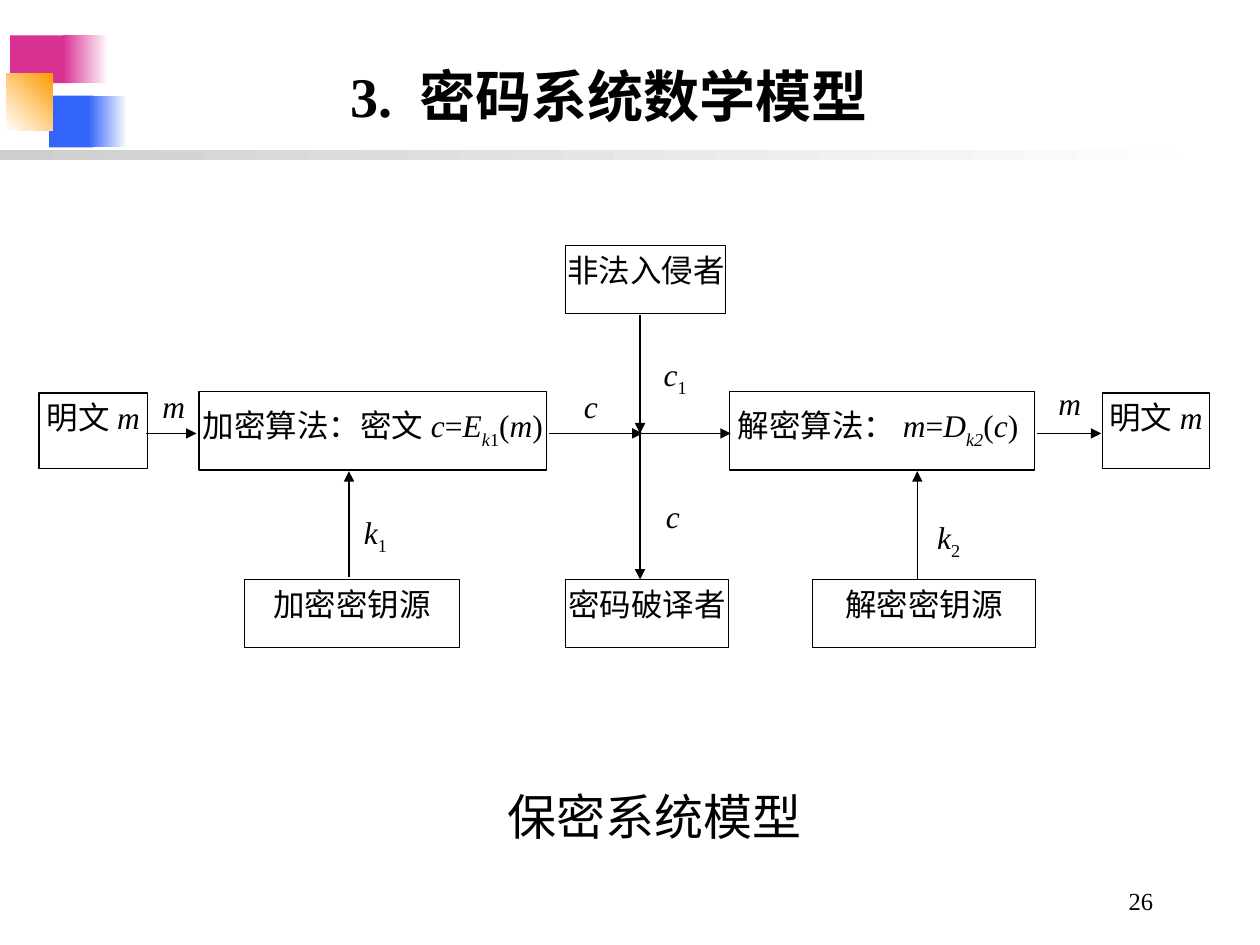
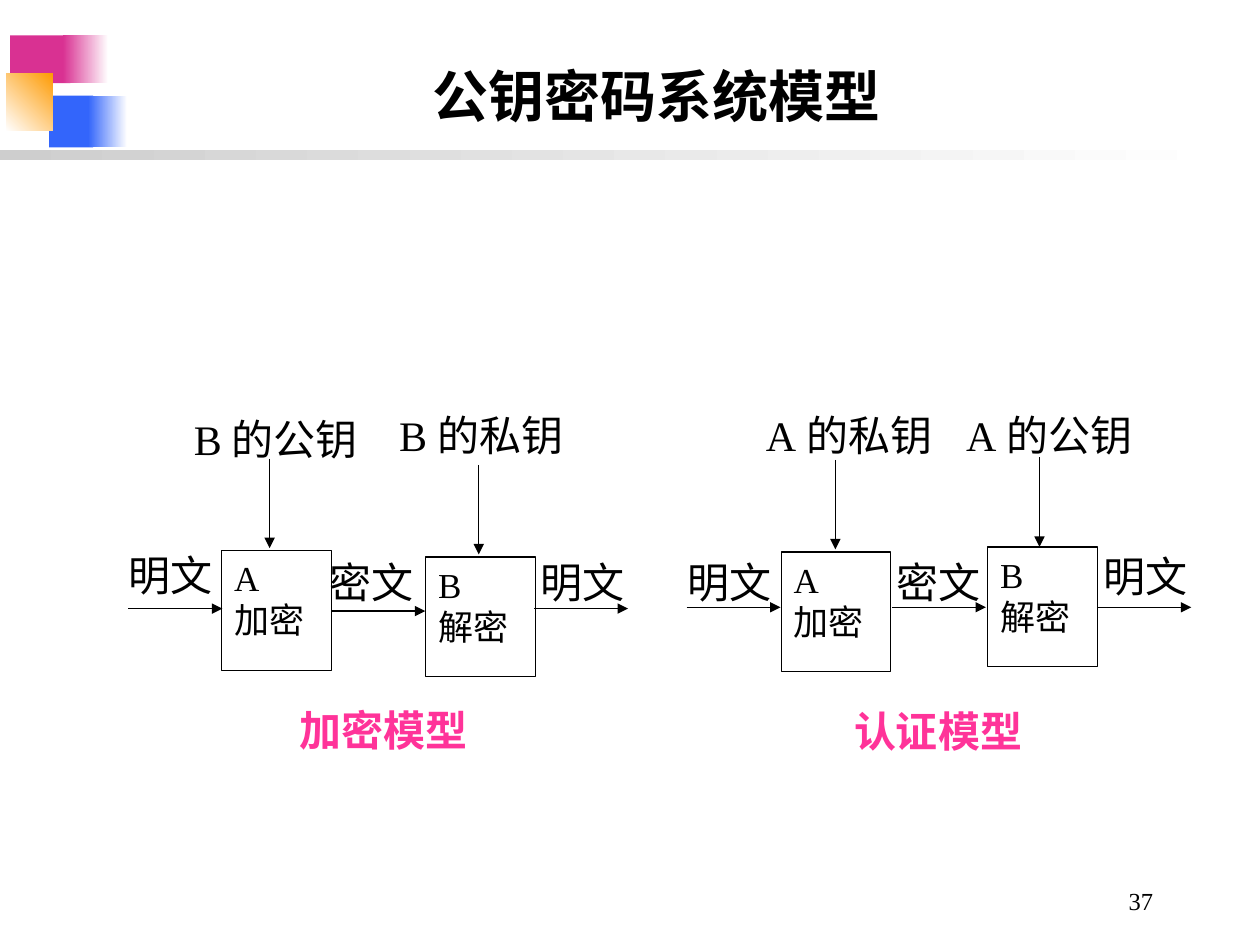
from dataclasses import dataclass, replace
from typing import NamedTuple, Optional, Union

from lxml.etree import SubElement
from pptx import Presentation
from pptx.dml.color import RGBColor
from pptx.enum.shapes import MSO_CONNECTOR, MSO_SHAPE
from pptx.enum.text import MSO_ANCHOR, MSO_AUTO_SIZE, PP_ALIGN
from pptx.oxml.ns import qn
from pptx.util import Inches, Pt

WIDE, HIGH = Inches(10), Inches(7.5)
COLS, ROWS = 100, 75

BLACK = RGBColor(0x00, 0x00, 0x00)
WHITE = RGBColor(0xFF, 0xFF, 0xFF)
PINK = RGBColor(0xD9, 0x31, 0x92)
BLUE = RGBColor(0x33, 0x65, 0xFB)
GOLD = RGBColor(0xFE, 0x9B, 0x03)
GREY = RGBColor(0xCE, 0xCE, 0xCE)
ROSE = RGBColor(0xFF, 0x33, 0x99)

SERIF = "Times New Roman"
HAN = "Noto Sans CJK SC"


class Area(NamedTuple):
    left: float
    top: float
    width: float
    height: float


class Run(NamedTuple):
    text: str
    slant: bool = False
    drop: int = 0


Words = Union[str, list[Run]]


@dataclass(frozen=True)
class Look:
    size: float
    align: PP_ALIGN = PP_ALIGN.CENTER
    space: float = 1.0
    before: float = 0
    side: float = 1.0
    head: float = 0.5
    bold: bool = False
    wrap: bool = True
    color: RGBColor = BLACK
    font: str = SERIF
    anchor: MSO_ANCHOR = MSO_ANCHOR.TOP


@dataclass(frozen=True)
class Block:
    area: Area
    words: Words
    look: Look
    fill: Optional[RGBColor] = None


@dataclass(frozen=True)
class Label:
    area: Area
    words: Words
    look: Look


class Arrow(NamedTuple):
    x: float
    y: float
    to_x: float
    to_y: float


class Patch(NamedTuple):
    area: Area
    start: RGBColor
    end: Optional[RGBColor] = None
    angle: float = 0


TITLE = Look(32, space=0.9, bold=True, anchor=MSO_ANCHOR.BOTTOM)
FOOT = Look(14, align=PP_ALIGN.RIGHT)
NODE = Look(18, side=0, head=0.4)
RULE = replace(NODE, space=1.2)
MARK = Look(18, space=1.04, side=0, head=0)
INDEX = replace(MARK, space=0.94)
NOTE = Look(28, space=1.8, before=17.5, font=HAN)
CELL = Look(20, align=PP_ALIGN.JUSTIFY)
TERM = Look(24, align=PP_ALIGN.LEFT, wrap=False)
MODEL = replace(TERM, bold=True, color=ROSE)

PATCHES = [
    Patch(Area(0.8, 2.8, 4.8, 3.8), PINK),
    Patch(Area(5, 2.8, 3.6, 3.8), PINK, WHITE),
    Patch(Area(3.9, 7.6, 3.5, 4.1), BLUE),
    Patch(Area(7, 7.6, 3.1, 4.1), BLUE, WHITE),
    Patch(Area(0.5, 5.8, 3.7, 4.6), WHITE, GOLD, 45),
    Patch(Area(0, 11.9, 97.5, 0.8), GREY, WHITE),
]

PLAIN = [Run("明文"), Run("m", True)]
CIPHER = [Run("加密算法:".replace(":", "：") + "密文"), Run("c", True), Run("="),
          Run("E", True), Run("k", True, -30), Run("1", drop=-30),
          Run("("), Run("m", True), Run(")")]
SOLVE = [Run("解密算法："), Run("m", True), Run("="), Run("D", True),
         Run("k2", True, -30), Run("("), Run("c", True), Run(") ")]

FLOW, KEYS = 34.4, 46
SECRET_BLOCKS = [
    Block(Area(3.1, 31.2, 8.6, 6), PLAIN, NODE),
    Block(Area(15.8, 31.1, 27.6, 6.2), CIPHER, RULE),
    Block(Area(44.9, 19.5, 12.7, 5.4), "非法入侵者", NODE),
    Block(Area(44.9, KEYS, 12.9, 5.4), "密码破译者", NODE),
    Block(Area(19.4, KEYS, 17.1, 5.4), "加密密钥源", NODE),
    Block(Area(64.5, KEYS, 17.7, 5.4), "解密密钥源", NODE),
    Block(Area(57.9, 31.1, 24.2, 6.2), SOLVE, RULE),
    Block(Area(87.5, 31.2, 8.5, 6), PLAIN, NODE),
]
SECRET_ARROWS = [
    Arrow(11.6, FLOW, 15.6, FLOW),
    Arrow(43.6, FLOW, 51, FLOW),
    Arrow(50.6, FLOW, 58, FLOW),
    Arrow(82.3, FLOW, 87.4, FLOW),
    Arrow(27.7, 45.8, 27.7, 37.4),
    Arrow(72.8, KEYS, 72.8, 37.4),
    Arrow(50.8, 25, 50.8, FLOW),
    Arrow(50.8, 34.2, 50.8, KEYS),
]


def mark(left: float, top: float, sign: str, index: str = "") -> Label:
    words = [Run(sign, True)] + ([Run(index, drop=-25)] if index else [])
    return Label(Area(left, top, 3.6, 3.4), words, INDEX if index else MARK)


SECRET_LABELS = [
    mark(12, 30.6, "m"), mark(83.1, 30.4, "m"),
    mark(28, 40.7, "k", "1"), mark(73.5, 41.1, "k", "2"),
    mark(45.1, 30.6, "c"), mark(51.6, 39.3, "c"), mark(51.8, 28.2, "c", "1"),
    Label(Area(23, 57.5, 57.4, 10.9),
          [Run(" ", drop=-30), Run("保密系统模型")], NOTE),
]

PUBLIC_BLOCKS = [
    Block(Area(left, top, 8.7, 9.5), words, CELL, WHITE)
    for left, top, words in [
        (17.6, 43.7, "A\n加密"), (33.8, 44.2, "B\n解密"),
        (62, 43.8, "A\n加密"), (78.4, 43.4, "B\n解密")]
]
PUBLIC_ARROWS = [
    Arrow(left, top, left + 7.45, top)
    for left, top in [(10.2, 48.3), (26.3, 48.5), (42.4, 48.3),
                      (54.5, 48.2), (70.8, 48.2), (87.1, 48.2)]
] + [
    Arrow(left, top, left, top + 7.1)
    for left, top in [(21.4, 36.4), (38, 36.9), (66.3, 36.5), (82.5, 36.3)]
]
PUBLIC_LABELS = [
    Label(Area(left, top, width, 5), words, look)
    for left, top, width, words, look in [
        (9.2, 43.1, 8.6, "明文", TERM), (41.9, 43.7, 8.6, "明文", TERM),
        (53.6, 43.7, 8.6, "明文", TERM), (86.6, 43.2, 8.6, "明文", TERM),
        (25.2, 43.7, 8.6, "密文", TERM), (70.2, 43.7, 8.6, "密文", TERM),
        (22.8, 55.4, 15.3, "加密模型", MODEL),
        (66.8, 55.5, 15.3, "认证模型", MODEL),
        (14.4, 32.3, 15, "B的公钥", TERM), (30.7, 32, 15, "B的私钥", TERM),
        (59.8, 32, 15.2, "A的私钥", TERM), (75.7, 32, 15.2, "A的公钥", TERM)]
]


def col(count: float) -> int:
    return round(WIDE * count / COLS)


def row(count: float) -> int:
    return round(HIGH * count / ROWS)


def place(area: Area) -> tuple[int, int, int, int]:
    return col(area.left), row(area.top), col(area.width), row(area.height)


def style(run, look: Look, part: Run) -> None:
    font = run.font
    font.name, font.size, font.bold = look.font, Pt(look.size), look.bold
    font.italic = part.slant
    font.color.rgb = look.color
    props = run._r.get_or_add_rPr()
    SubElement(props, qn("a:ea")).set("typeface", HAN)
    if part.drop:
        props.set("baseline", str(part.drop * 1000))


def write(shape, words: Words, look: Look) -> None:
    frame = shape.text_frame
    frame.auto_size = MSO_AUTO_SIZE.NONE
    frame.word_wrap = look.wrap
    frame.vertical_anchor = look.anchor
    frame.margin_left = frame.margin_right = col(look.side)
    frame.margin_top = row(look.head)
    frame.margin_bottom = row(0.5 if look.side else 0)
    if isinstance(words, str):
        frame.text = words
        parts = [Run(line) for line in words.split("\n")]
    else:
        parts = words
        for part in parts:
            frame.paragraphs[0].add_run().text = part.text
    runs = [run for para in frame.paragraphs for run in para.runs]
    for run, part in zip(runs, parts):
        style(run, look, part)
    for para in frame.paragraphs:
        para.alignment = look.align
        para.line_spacing = look.space
        para.space_before = Pt(look.before)


def draw_patch(slide, patch: Patch) -> None:
    shape = slide.shapes.add_shape(MSO_SHAPE.RECTANGLE, *place(patch.area))
    shape.shadow.inherit = False
    shape.line.fill.background()
    if patch.end is None:
        shape.fill.solid()
        shape.fill.fore_color.rgb = patch.start
        return
    shape.fill.gradient()
    shape.fill.gradient_angle = patch.angle
    for stop, color in zip(shape.fill.gradient_stops, (patch.start, patch.end)):
        stop.color.rgb = color


def draw_block(slide, block: Block) -> None:
    shape = slide.shapes.add_shape(MSO_SHAPE.RECTANGLE, *place(block.area))
    shape.shadow.inherit = False
    if block.fill is None:
        shape.fill.background()
    else:
        shape.fill.solid()
        shape.fill.fore_color.rgb = block.fill
    shape.line.color.rgb = BLACK
    shape.line.width = Pt(0.75)
    write(shape, block.words, block.look)


def draw_arrow(slide, arrow: Arrow) -> None:
    line = slide.shapes.add_connector(
        MSO_CONNECTOR.STRAIGHT, col(arrow.x), row(arrow.y),
        col(arrow.to_x), row(arrow.to_y))
    line.line.color.rgb = BLACK
    line.line.width = Pt(0.75)
    props = line._element.spPr
    SubElement(props.find(qn("a:ln")), qn("a:tailEnd")).set("type", "triangle")
    SubElement(props, qn("a:effectLst"))


def draw_label(slide, label: Label) -> None:
    write(slide.shapes.add_textbox(*place(label.area)), label.words, label.look)


def add_page(deck, title: Words, width: float, number: str,
             blocks: list[Block], arrows: list[Arrow],
             labels: list[Label]) -> None:
    slide = deck.slides.add_slide(deck.slide_layouts[5])
    for patch in PATCHES:
        draw_patch(slide, patch)
    head = slide.shapes.title
    head.left, head.top, head.width, head.height = place(Area(9.2, 0.8, width, 10))
    write(head, title, TITLE)
    draw_label(slide, Label(Area(71.7, 69.8, 20.8, 3.6), number, FOOT))
    for block in blocks:
        draw_block(slide, block)
    for arrow in arrows:
        draw_arrow(slide, arrow)
    for label in labels:
        draw_label(slide, label)


def main() -> None:
    deck = Presentation()
    deck.slide_width, deck.slide_height = WIDE, HIGH
    add_page(deck, "3. 密码系统数学模型 ", 79.3, "26",
             SECRET_BLOCKS, SECRET_ARROWS, SECRET_LABELS)
    add_page(deck, "公钥密码系统模型", 85.8, "37",
             PUBLIC_BLOCKS, PUBLIC_ARROWS, PUBLIC_LABELS)
    deck.save("out.pptx")


if __name__ == "__main__":
    main()
